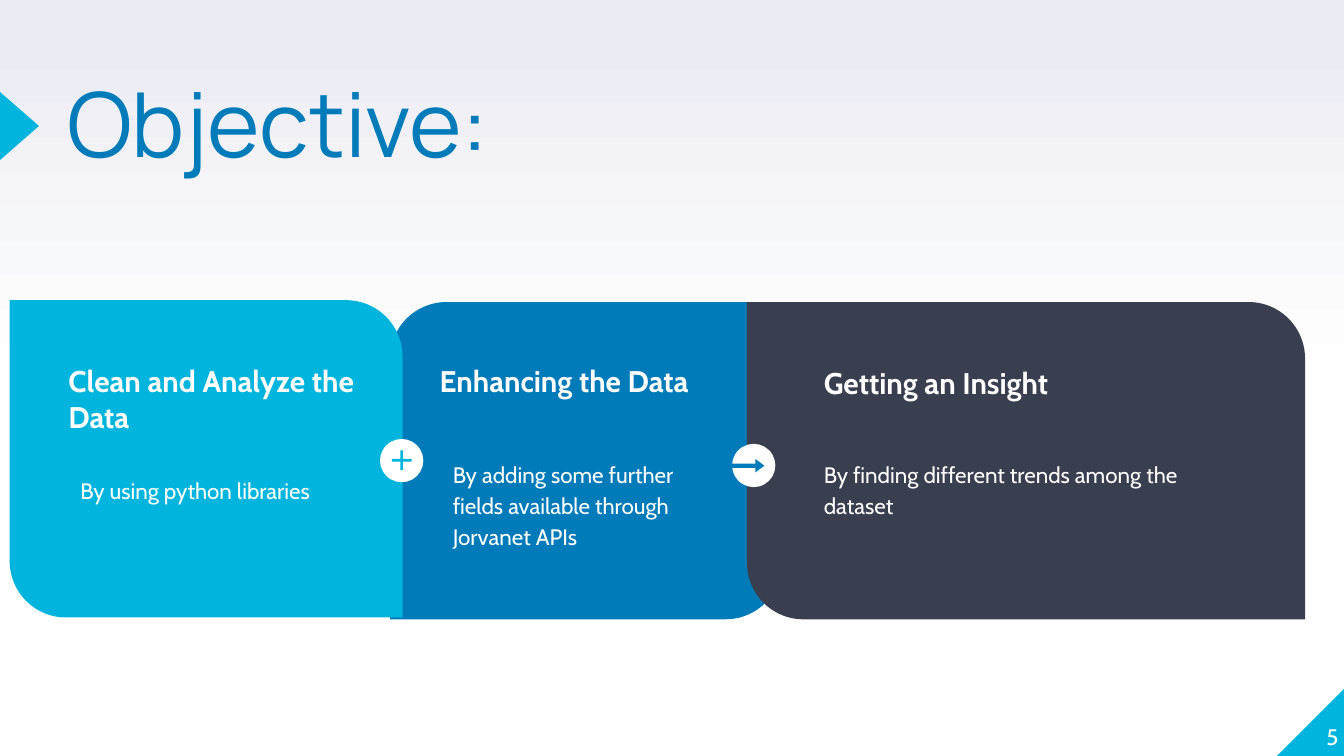
from copy import deepcopy
from typing import NamedTuple

from pptx import Presentation
from pptx.dml.color import RGBColor
from pptx.enum.shapes import MSO_SHAPE as Kind
from pptx.enum.text import MSO_ANCHOR as Anchor, PP_ALIGN as Align
from pptx.oxml.ns import qn
from pptx.util import Pt

CYAN, BLUE, DARK, WHITE = "00B5DD", "007BB9", "3A3F50", "FFFFFF"
ROUND = 0.178


class Box(NamedTuple):
    left: float
    top: float
    width: float
    height: float


class Card(NamedTuple):
    box: Box
    fill: str
    curve: tuple[float, float]
    head: str
    head_box: Box
    body: str
    body_box: Box


class Badge(NamedTuple):
    left: float
    top: float
    icon: Kind
    icon_box: Box
    adjust: tuple[float, ...]
    color: str


def paint(target, color: str) -> None:
    target.rgb = RGBColor.from_string(color)


def add_form(slide, kind: Kind, box: Box, fill: str,
             adjust: tuple[float, ...] = (), turn: float = 0) -> None:
    form = slide.shapes.add_shape(kind, *map(Pt, box))
    form.shadow.inherit = False
    form.fill.solid()
    paint(form.fill.fore_color, fill)
    form.line.fill.background()
    form.rotation = turn
    for i, value in enumerate(adjust):
        form.adjustments[i] = value


def add_text(slide, text: str, box: Box, size: float, color: str = WHITE,
             font: str = "Cabin", bold: bool = False, inset: float = 7.2,
             spacing: float = 1, after: float = 0, align: Align = Align.LEFT,
             anchor: Anchor = Anchor.TOP) -> None:
    frame = slide.shapes.add_textbox(*map(Pt, box)).text_frame
    frame.word_wrap = True
    frame.vertical_anchor = anchor
    frame.margin_left = frame.margin_right = Pt(inset)
    frame.margin_top = frame.margin_bottom = Pt(inset)
    para = frame.paragraphs[0]
    para.alignment = align
    para.line_spacing = spacing
    para.space_after = Pt(after)
    run = para.add_run()
    run.text = text
    run.font.name, run.font.size, run.font.bold = font, Pt(size), bold
    paint(run.font.color, color)


def add_card(slide, card: Card) -> None:
    add_form(slide, Kind.ROUND_2_DIAG_RECTANGLE, card.box, card.fill, card.curve)
    add_text(slide, card.head, card.head_box, 16, bold=True)
    add_text(slide, card.body, card.body_box, 12, spacing=1.15, after=16)


def add_badge(slide, badge: Badge) -> None:
    disc = Box(badge.left, badge.top, 23.2, 23.2)
    add_form(slide, Kind.OVAL, disc, WHITE)
    add_form(slide, badge.icon, badge.icon_box, badge.color, badge.adjust)


def set_back(slide) -> None:
    fill = slide.background.fill
    fill.gradient()
    fill.gradient_angle = 90
    first = next(slide.element.iter(qn("a:gs")))
    first.addnext(deepcopy(first))
    for stop, place, color in zip(fill.gradient_stops, (0, 0.5, 1),
                                  (WHITE, WHITE, "E9EAF2")):
        stop.position = place
        paint(stop.color, color)


# Cards from back to front
CARDS = [
    Card(Box(209, 161.8, 210, 170), BLUE, (ROUND, 0),
         "Enhancing the Data", Box(228.5, 187.2, 169, 50),
         "By adding some further fields available through Jorvanet APIs",
         Box(235.5, 237.6, 157, 55.5)),
    Card(Box(5.2, 160.8, 210.5, 170), CYAN, (0, ROUND),
         "Clean and Analyze the Data", Box(29.6, 187.2, 179, 50),
         "By using python libraries", Box(36, 246.2, 157, 55.5)),
    Card(Box(400.2, 161.8, 299, 170), DARK, (0, ROUND),
         "Getting an Insight", Box(434.3, 188, 240.5, 50),
         "By finding different trends among the dataset",
         Box(434.3, 237.6, 240.5, 55.5)),
]

BADGES = [
    Badge(392.2, 237.8, Kind.RIGHT_ARROW, Box(392, 245.9, 17.5, 7.2),
          (0.32, 0.67), BLUE),
    Badge(203.6, 235.2, Kind.MATH_PLUS, Box(208, 239.4, 14.4, 14.4),
          (0.099,), CYAN),
]


def main() -> None:
    deck = Presentation()
    deck.slide_width, deck.slide_height = Pt(720), Pt(405)
    slide = deck.slides.add_slide(deck.slide_layouts[6])
    set_back(slide)

    # Corner and title markers
    add_form(slide, Kind.RIGHT_TRIANGLE, Box(684, 368.6, 36.5, 36.5), CYAN,
             turn=270)
    add_form(slide, Kind.ISOSCELES_TRIANGLE, Box(-8, 57, 36.7, 21), CYAN,
             turn=90)

    # Title and page number
    add_text(slide, "Objective:", Box(36, 47.5, 444, 85), 48, BLUE, "Manrope",
             inset=0, spacing=0.8)
    add_text(slide, "5", Box(681, 365, 36, 36.7), 12, inset=0,
             align=Align.RIGHT, anchor=Anchor.BOTTOM)

    # Steps and the signs between them
    for card in CARDS:
        add_card(slide, card)
    for badge in BADGES:
        add_badge(slide, badge)

    deck.save("out.pptx")


if __name__ == "__main__":
    main()
